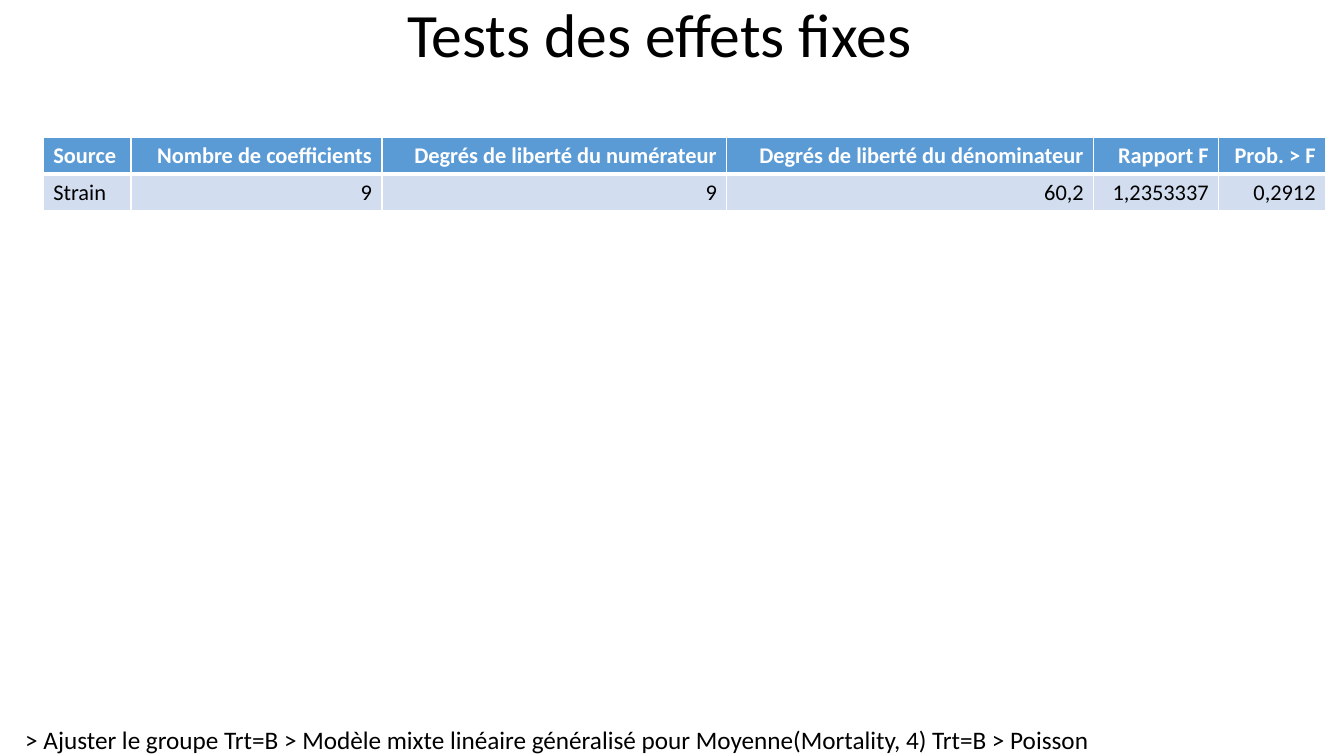
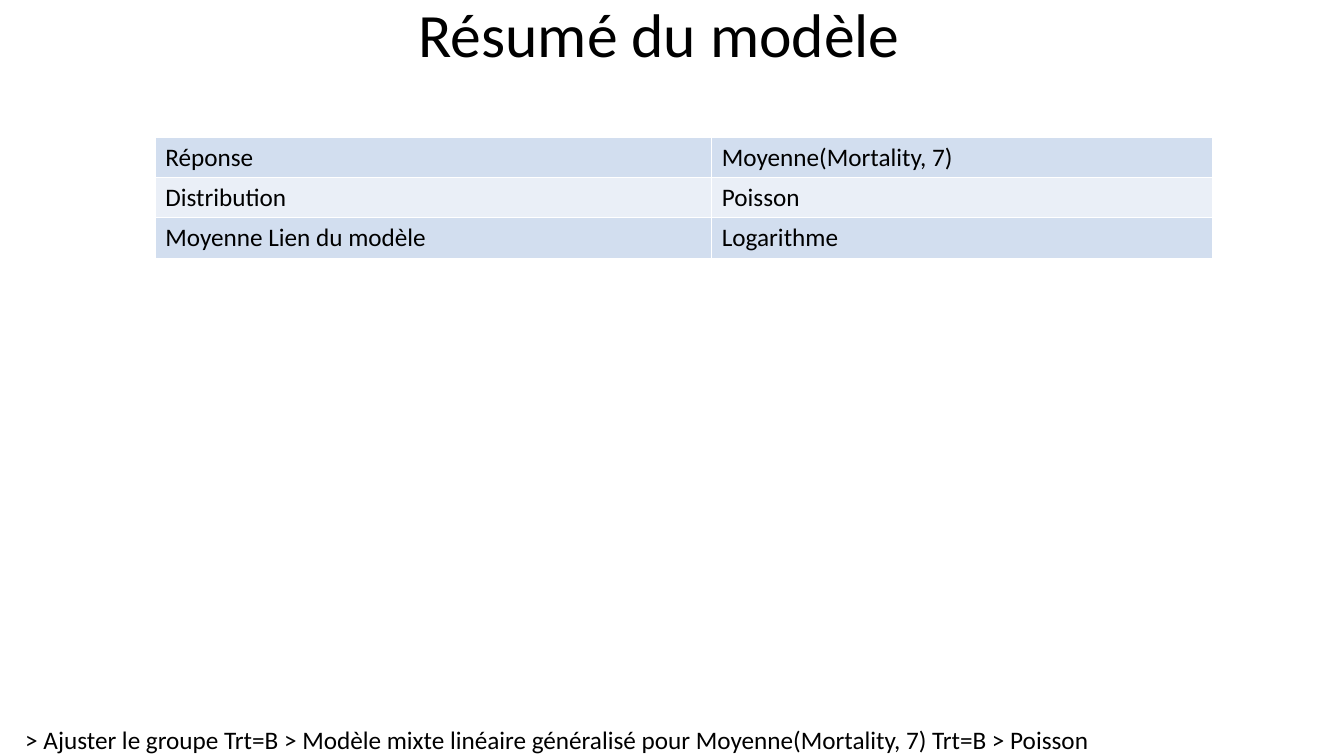
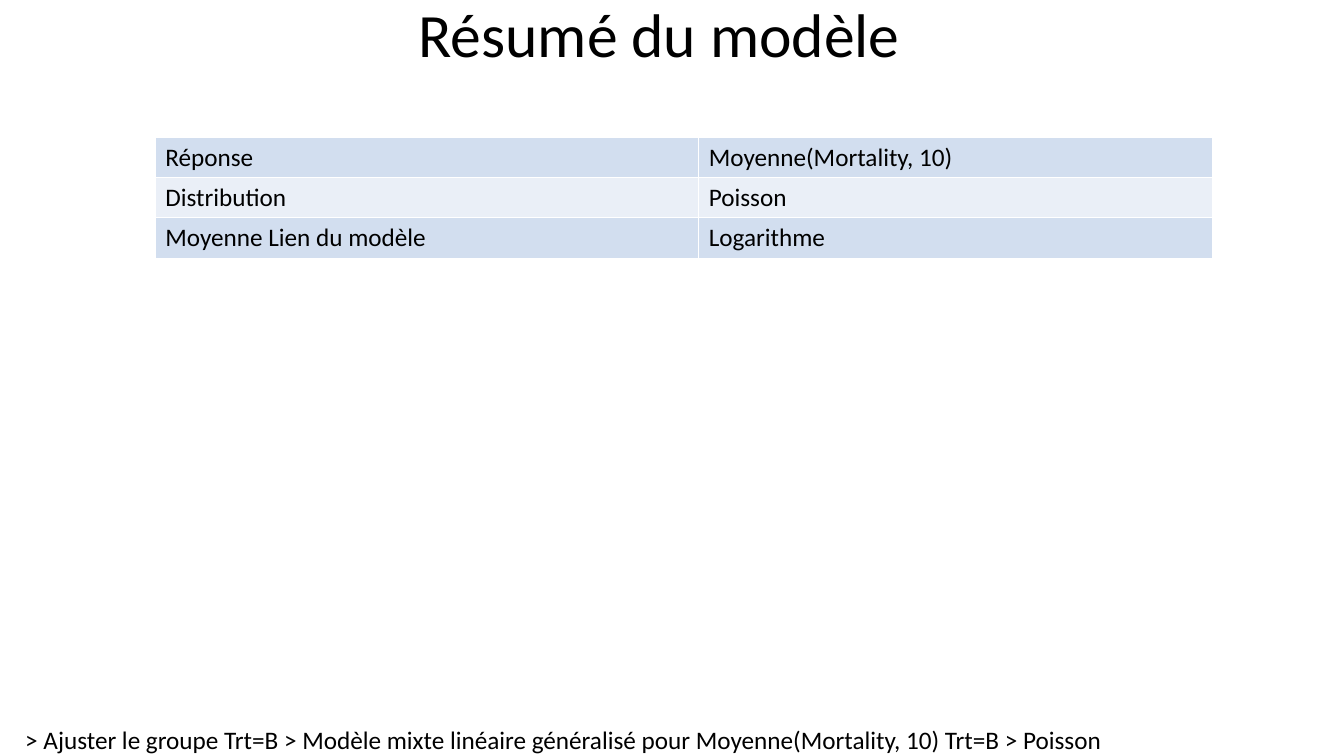
from dataclasses import dataclass

from lxml import etree
from pptx import Presentation
from pptx.dml.color import RGBColor
from pptx.enum.text import MSO_ANCHOR, PP_ALIGN
from pptx.oxml.ns import qn
from pptx.slide import Slide
from pptx.table import _Cell
from pptx.text.text import TextFrame
from pptx.util import Inches, Pt

LEFT, CENTER, RIGHT = PP_ALIGN.LEFT, PP_ALIGN.CENTER, PP_ALIGN.RIGHT
MIDDLE = MSO_ANCHOR.MIDDLE

FONT = "Calibri"
BLACK = RGBColor(0x00, 0x00, 0x00)
WHITE = RGBColor(0xFF, 0xFF, 0xFF)
HEADER_BLUE = RGBColor(0x5B, 0x9B, 0xD5)
BAND_DARK = RGBColor(0xD2, 0xDE, 0xEF)
BAND_LIGHT = RGBColor(0xEA, 0xEF, 0xF7)

TABLE_TOP = 1.36
THIN, THICK = 1, 3


@dataclass(frozen=True)
class TableSpec:
    left: float
    widths: tuple[float, ...]
    rows: tuple[tuple[str, ...], ...]
    size: int
    row_height: float
    has_header: bool = False
    numeric: bool = False


@dataclass(frozen=True)
class SlideSpec:
    title: str
    day: int
    table: TableSpec


def summary_table(day: int, widths: tuple[float, ...]) -> TableSpec:
    rows = (
        ("Réponse", f"Moyenne(Mortality, {day})"),
        ("Distribution", "Poisson"),
        ("Moyenne Lien du modèle", "Logarithme"),
    )
    return TableSpec(1.54, widths, rows, size=18, row_height=0.4)


FIXED_EFFECTS = TableSpec(
    left=0.43,
    widths=(0.87, 2.49, 3.42, 3.64, 1.24, 1.06),
    rows=(
        ("Source", "Nombre de coefficients", "Degrés de liberté du numérateur",
         "Degrés de liberté du dénominateur", "Rapport F", "Prob. > F"),
        ("Strain", "9", "9", "60,2", "1,2353337", "0,2912"),
    ),
    size=16,
    row_height=0.36,
    has_header=True,
    numeric=True,
)

SLIDES = (
    SlideSpec("Tests des effets fixes", 4, FIXED_EFFECTS),
    SlideSpec("Résumé du modèle", 7, summary_table(7, (5.52, 4.97))),
    SlideSpec("Résumé du modèle", 10, summary_table(10, (5.39, 5.1))),
)


def write_text(text_frame: TextFrame, text: str, size: int, color: RGBColor = BLACK,
               alignment: PP_ALIGN = LEFT, bold: bool = False) -> None:
    text_frame.text = text
    paragraph = text_frame.paragraphs[0]
    paragraph.alignment = alignment
    font = paragraph.runs[0].font
    font.name = FONT
    font.size = Pt(size)
    font.bold = bold
    font.color.rgb = color


def add_title(slide: Slide, title: str) -> None:
    shape = slide.shapes.add_textbox(0, 0, Inches(13.08), Inches(0.75))
    text_frame = shape.text_frame
    text_frame.word_wrap = True
    text_frame.vertical_anchor = MIDDLE
    write_text(text_frame, title, 44, alignment=CENTER)
    text_frame.paragraphs[0].line_spacing = 0.9


def add_footer(slide: Slide, day: int) -> None:
    shape = slide.shapes.add_textbox(Inches(0.25), Inches(7.19), Inches(10.75), Inches(0.31))
    text_frame = shape.text_frame
    text_frame.word_wrap = False
    text_frame.margin_left = text_frame.margin_right = 0
    text_frame.margin_top = text_frame.margin_bottom = 0
    write_text(
        text_frame,
        "> Ajuster le groupe Trt=B > Modèle mixte linéaire généralisé pour "
        f"Moyenne(Mortality, {day}) Trt=B > Poisson",
        18,
    )


def set_borders(cell: _Cell, top: int, bottom: int) -> None:
    properties = cell._tc.get_or_add_tcPr()
    widths = {"a:lnL": THIN, "a:lnR": THIN, "a:lnT": top, "a:lnB": bottom}
    for tag, width in widths.items():
        line = etree.SubElement(properties, qn(tag), w=str(Pt(width)))
        fill = etree.SubElement(line, qn("a:solidFill"))
        etree.SubElement(fill, qn("a:srgbClr"), val=str(WHITE))


def add_table(slide: Slide, spec: TableSpec) -> None:
    row_count = len(spec.rows)
    shape = slide.shapes.add_table(
        row_count, len(spec.widths), Inches(spec.left), Inches(TABLE_TOP),
        Inches(sum(spec.widths)), Inches(spec.row_height * row_count),
    )
    table = shape.table
    table.first_row = spec.has_header
    for column, width in zip(table.columns, spec.widths):
        column.width = Inches(width)
    for row_index, values in enumerate(spec.rows):
        is_header = spec.has_header and row_index == 0
        below_header = spec.has_header and row_index == 1
        band_index = row_index - int(spec.has_header)
        band = BAND_LIGHT if band_index % 2 else BAND_DARK
        for column_index, value in enumerate(values):
            cell = table.cell(row_index, column_index)
            set_borders(cell, THICK if below_header else THIN, THICK if is_header else THIN)
            cell.fill.solid()
            cell.fill.fore_color.rgb = HEADER_BLUE if is_header else band
            write_text(
                cell.text_frame, value, spec.size,
                color=WHITE if is_header else BLACK,
                alignment=RIGHT if spec.numeric and column_index else LEFT,
                bold=is_header,
            )


def main() -> None:
    presentation = Presentation()
    presentation.slide_width = Inches(13.33)
    presentation.slide_height = Inches(7.5)
    blank_layout = presentation.slide_layouts[6]
    for spec in SLIDES:
        slide = presentation.slides.add_slide(blank_layout)
        add_footer(slide, spec.day)
        add_title(slide, spec.title)
        add_table(slide, spec.table)
    presentation.save("out.pptx")


if __name__ == "__main__":
    main()
